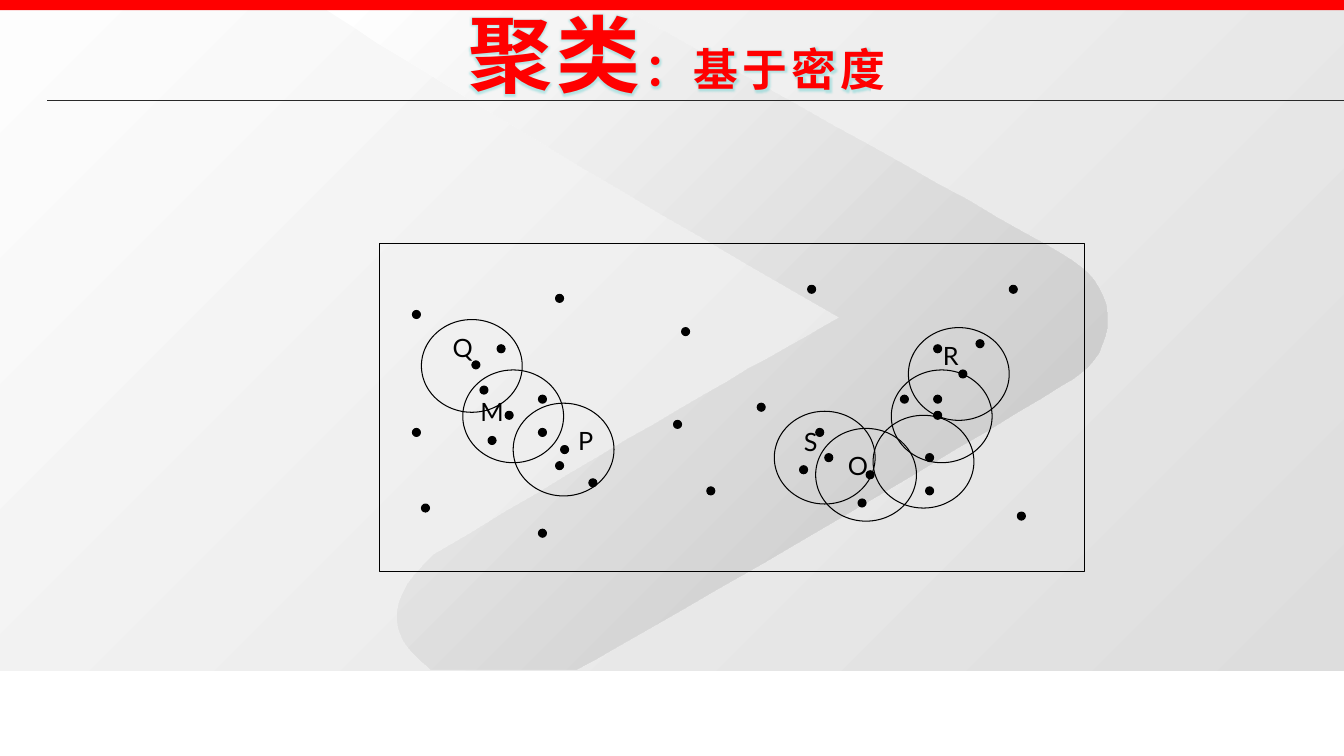
from lxml import etree
from pptx import Presentation
from pptx.dml.color import RGBColor
from pptx.enum.shapes import MSO_CONNECTOR, MSO_SHAPE
from pptx.enum.text import MSO_ANCHOR, PP_ALIGN
from pptx.oxml.ns import qn
from pptx.util import Pt

PX = 9144  # 100 px to the inch
SLIDE_WIDTH, SLIDE_HEIGHT = 1333, 750
RECTANGLE, OVAL = MSO_SHAPE.RECTANGLE, MSO_SHAPE.OVAL
STRAIGHT = MSO_CONNECTOR.STRAIGHT
CENTER, MIDDLE, TOP = PP_ALIGN.CENTER, MSO_ANCHOR.MIDDLE, MSO_ANCHOR.TOP

WHITE = RGBColor(0xFF, 0xFF, 0xFF)
PALE = RGBColor(0xFD, 0xFD, 0xFD)
LIGHT_GRAY = RGBColor(0xDD, 0xDD, 0xDD)
SILVER = RGBColor(0xC0, 0xC0, 0xC0)
RED = RGBColor(0xFF, 0x00, 0x00)
BLACK = RGBColor(0x00, 0x00, 0x00)
CHARCOAL = RGBColor(0x29, 0x29, 0x29)
OUTLINE = RGBColor(0xFF, 0xF4, 0xF4)
GLOW = RGBColor(0x40, 0xC8, 0xC8)

TITLE_FONT, LABEL_FONT = "Noto Sans CJK SC", "Lato"

# Chevron outline: a start, then straight (2 numbers) or cubic (6 numbers) steps
CHEVRON_START = (1064, 376)
CHEVRON_STEPS = [
    (1019, 404, 656, 620, 572, 664), (427, 664),
    (404, 645, 364, 608, 431, 550), (627, 433, 750, 361, 833, 315),
    (579, 169, 389, 53, 324, 10), (473, 8, 621, 10, 621, 10),
    (719, 65, 1018, 230, 1064, 259), (1111, 289, 1109, 347, 1064, 376),
]

# Diagram parts, measured from the corner of the frame
DOT_SIZE, CIRCLE_WIDTH, CIRCLE_HEIGHT, LABEL_SIZE = 8, 100, 92, 50
DOTS = [
    (33, 66), (33, 183), (92, 116), (108, 191), (125, 166), (175, 216),
    (158, 183), (180, 200), (42, 258), (208, 233), (158, 283), (158, 150),
    (633, 266), (433, 183), (483, 225), (417, 220), (550, 150), (517, 150),
    (325, 241), (550, 166), (475, 253), (575, 125), (542, 241), (175, 50),
    (442, 208), (542, 208), (425, 41), (592, 95), (550, 100), (117, 100),
    (300, 83), (625, 41), (100, 141), (292, 175), (375, 158),
]
CIRCLES = [(42, 75), (83, 125), (508, 125), (525, 83),
           (133, 158), (490, 170), (433, 183), (392, 166)]
LABELS = [("Q", 58, 83), ("M", 87, 146), ("P", 180, 175),
          ("R", 542, 91), ("S", 403, 176), ("O", 450, 200)]


def set_gradient(shape, first, last):
    shape.fill.gradient()
    shape.fill.gradient_angle = 315
    for stop, color in zip(shape.fill.gradient_stops, (first, last)):
        stop.color.rgb = color


def add_shape(slide, kind, left, top, width, height, fill=None, line=None):
    shape = slide.shapes.add_shape(kind, left * PX, top * PX, width * PX, height * PX)
    shape.shadow.inherit = False
    if fill is None:
        shape.fill.background()
    else:
        shape.fill.solid()
        shape.fill.fore_color.rgb = fill
    if line is None:
        shape.line.fill.background()
    else:
        shape.line.color.rgb = line
        shape.line.width = Pt(0.75)
    return shape


def add_text(slide, left, top, width, height, runs, font, color, bold, anchor):
    box = slide.shapes.add_textbox(left * PX, top * PX, width * PX, height * PX)
    frame = box.text_frame
    frame.word_wrap = True
    frame.vertical_anchor = anchor
    paragraph = frame.paragraphs[0]
    paragraph.alignment = CENTER
    for text, size in runs:
        run = paragraph.add_run()
        run.text = text
        run.font.size = Pt(size)
        run.font.bold = bold
        run.font.name = font
        run.font.color.rgb = color
        properties = run.font._element
        east_asian = etree.Element(qn("a:ea"), typeface=font)
        properties.find(qn("a:latin")).addnext(east_asian)
    return paragraph


def chevron_points(steps):
    """Turn the straight and cubic steps into a list of points."""
    x0, y0 = CHEVRON_START
    points = []
    for step in steps:
        if len(step) == 2:
            points.append(step)
        else:
            x1, y1, x2, y2, x3, y3 = step
            for i in range(1, 17):
                t = i / 16
                a, b, c, d = (1 - t) ** 3, 3 * t * (1 - t) ** 2, 3 * t * t * (1 - t), t ** 3
                points.append((a * x0 + b * x1 + c * x2 + d * x3,
                               a * y0 + b * y1 + c * y2 + d * y3))
        x0, y0 = step[-2:]
    return points


def add_background(slide, left, top, width, height):
    panel = add_shape(slide, RECTANGLE, left, top + 8, width, 657)
    set_gradient(panel, PALE, LIGHT_GRAY)
    # Chevron
    x, y = CHEVRON_START
    builder = slide.shapes.build_freeform(left + x, top + y, scale=PX)
    builder.add_line_segments([(left + x, top + y) for x, y in chevron_points(CHEVRON_STEPS)])
    chevron = builder.convert_to_shape()
    chevron.shadow.inherit = False
    chevron.line.fill.background()
    set_gradient(chevron, WHITE, SILVER)
    # Top bar and rule under the title
    add_shape(slide, RECTANGLE, left, top, width, 10, RED)
    rule_y = (top + 100) * PX
    rule = slide.shapes.add_connector(
        STRAIGHT, (left + 47) * PX, rule_y, (left + width) * PX, rule_y)
    rule.line.color.rgb = CHARCOAL
    rule.line.width = Pt(1)
    etree.SubElement(rule._element.spPr, qn("a:effectLst"))


def add_title(slide, left, top, width, height):
    paragraph = add_text(slide, left, top, width, height,
                         [("聚类", 60), ("：基于密度", 32)], TITLE_FONT, RED, True, MIDDLE)
    # Letter spacing, thin outline and glow
    for run in paragraph.runs:
        properties = run.font._element
        properties.set("spc", "300")
        outline = etree.Element(qn("a:ln"), w="11430")
        outline_fill = etree.SubElement(outline, qn("a:solidFill"))
        etree.SubElement(outline_fill, qn("a:srgbClr"), val=str(OUTLINE))
        properties.insert(0, outline)
        effects = etree.Element(qn("a:effectLst"))
        glow = etree.SubElement(effects, qn("a:glow"), rad="45500")
        glow_color = etree.SubElement(glow, qn("a:srgbClr"), val=str(GLOW))
        etree.SubElement(glow_color, qn("a:alpha"), val="35000")
        properties.find(qn("a:solidFill")).addnext(effects)


def add_diagram(slide, left, top, width, height):
    add_shape(slide, RECTANGLE, left, top, width, height, line=BLACK)
    for x, y in CIRCLES:
        add_shape(slide, OVAL, left + x, top + y, CIRCLE_WIDTH, CIRCLE_HEIGHT, line=BLACK)
    for x, y in DOTS:
        add_shape(slide, OVAL, left + x, top + y, DOT_SIZE, DOT_SIZE, BLACK, BLACK)
    for letter, x, y in LABELS:
        add_text(slide, left + x, top + y, LABEL_SIZE, LABEL_SIZE,
                 [(letter, 18)], LABEL_FONT, BLACK, False, TOP)


def main():
    presentation = Presentation()
    presentation.slide_width = SLIDE_WIDTH * PX
    presentation.slide_height = SLIDE_HEIGHT * PX
    slide = presentation.slides.add_slide(presentation.slide_layouts[6])
    add_background(slide, 0, 0, SLIDE_WIDTH, SLIDE_HEIGHT)
    add_title(slide, 351, -3, 641, 111)
    add_diagram(slide, 376, 242, 700, 325)
    presentation.save("out.pptx")


if __name__ == "__main__":
    main()
